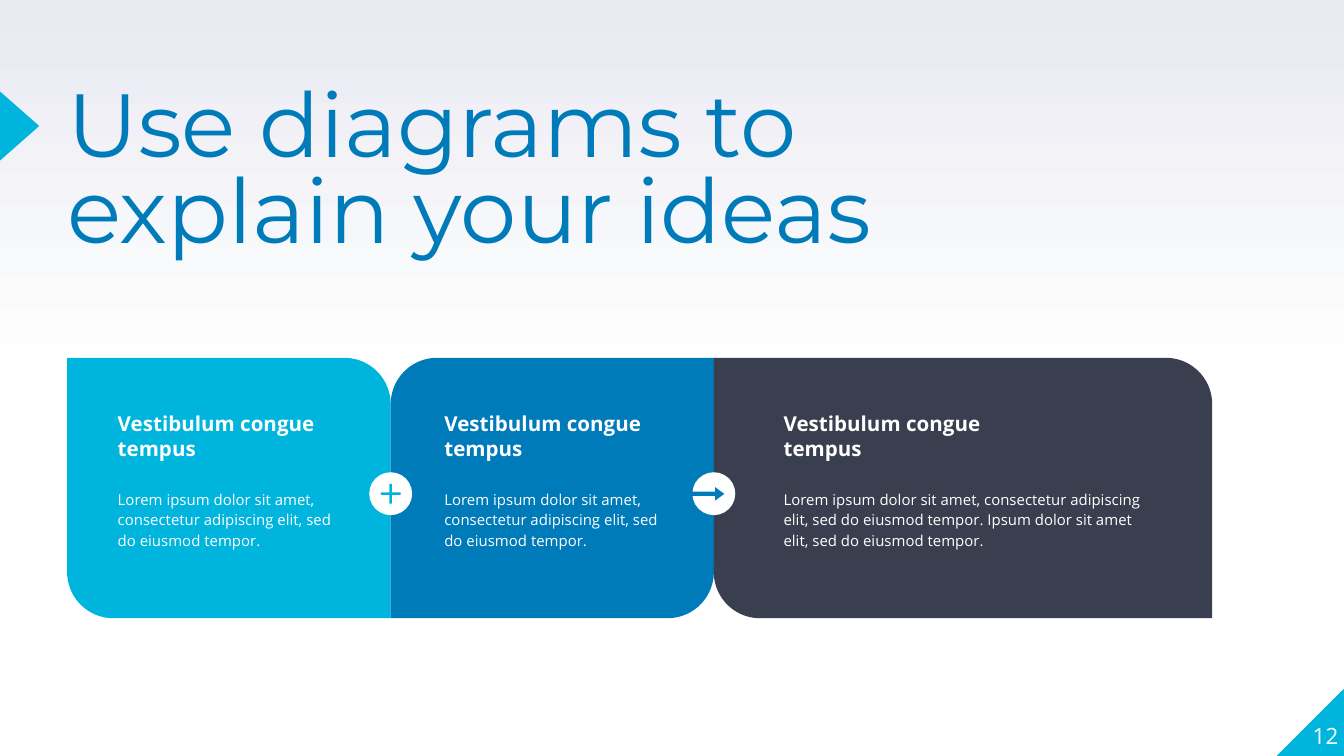
"""Build a slide with three linked panels."""
from pptx import Presentation
from pptx import util as u
from pptx.dml.color import RGBColor
from pptx.enum import shapes, text

Pt = u.Pt
Kind = shapes.MSO_SHAPE
CYAN, BLUE, SLATE, WHITE, MIST = "00B5DD", "007BB9", "3A3F50", "FFFFFF", "E9EAF2"
PANEL_TOP, PANEL_HEIGHT, CORNER = 191.7, 139.5, 0.178
BADGE = 23
LOREM = "Lorem ipsum dolor sit amet, consectetur adipiscing elit, sed do eiusmod tempor."
PANELS = [
    (36, 173.3, CYAN, (0, CORNER), 56, 130, "Vestibulum congue tempus", LOREM),
    (209.3, 173.1, BLUE, (CORNER, 0), 231, 130, "Vestibulum congue tempus", LOREM),
    (382.4, 267, SLATE, (0, CORNER), 412.7, 215, "Vestibulum congue\vtempus",
     LOREM + " Ipsum dolor sit amet elit, sed do eiusmod tempor."),
]


def paint(color_format, color):
    color_format.rgb = RGBColor.from_string(color)


def add_figure(slide, kind, left, top, width, height, color, adjustments=(), rotation=0):
    figure = slide.shapes.add_shape(kind, Pt(left), Pt(top), Pt(width), Pt(height))
    figure.shadow.inherit = False
    figure.fill.solid()
    paint(figure.fill.fore_color, color)
    figure.line.fill.background()
    figure.rotation = rotation
    for index, value in enumerate(adjustments):
        figure.adjustments[index] = value


def write(frame, words, size, font, color, bold=False, inset=0, align=text.PP_ALIGN.LEFT,
          anchor=text.MSO_ANCHOR.TOP):
    frame.text = words
    frame.word_wrap = True
    frame.auto_size = text.MSO_AUTO_SIZE.NONE
    frame.vertical_anchor = anchor
    frame.margin_left = frame.margin_right = Pt(inset)
    frame.margin_top = frame.margin_bottom = Pt(inset)
    paragraph = frame.paragraphs[0]
    paragraph.alignment = align
    for run in paragraph.runs:
        run.font.size, run.font.name, run.font.bold = Pt(size), font, bold
        paint(run.font.color, color)
    return paragraph


def add_label(slide, left, top, width, height, words, size, **style):
    label = slide.shapes.add_textbox(Pt(left), Pt(top), Pt(width), Pt(height))
    return write(label.text_frame, words, size, "Open Sans", WHITE, **style)


def add_panel(slide, left, width, color, corners, text_left, text_width, heading, detail):
    add_figure(slide, Kind.ROUND_2_DIAG_RECTANGLE, left, PANEL_TOP, width, PANEL_HEIGHT,
               color, corners)
    add_label(slide, text_left, 213, text_width, 41, heading, 11, bold=True, inset=7.2)
    body = add_label(slide, text_left, 254, text_width, 45.5, detail, 8, inset=7.2)
    body.line_spacing, body.space_after = 1.15, Pt(16)


def add_badge(slide, center, kind, left, top, width, height, color, adjustments):
    add_figure(slide, Kind.OVAL, center - BADGE / 2, 253, BADGE, BADGE, WHITE)
    add_figure(slide, kind, left, top, width, height, color, adjustments)


def set_background(slide):
    fill = slide.background.fill
    fill.gradient()
    fill.gradient_angle = 90
    for stop, position, color in zip(fill.gradient_stops, (0.5, 1), (WHITE, MIST)):
        stop.position = position
        paint(stop.color, color)


def set_title(slide, words):
    title = slide.shapes.title
    title.left, title.top, title.width, title.height = Pt(36), Pt(47.5), Pt(444), Pt(85)
    write(title.text_frame, words, 48, "Montserrat", BLUE).line_spacing = 0.8


def main():
    deck = Presentation()
    deck.slide_width, deck.slide_height = Pt(720), Pt(405)
    slide = deck.slides.add_slide(deck.slide_layouts[5])
    set_background(slide)
    add_figure(slide, Kind.RIGHT_TRIANGLE, 684, 368.5, 36.5, 36.5, CYAN, rotation=270)
    add_figure(slide, Kind.ISOSCELES_TRIANGLE, -8, 57, 37, 21, CYAN, rotation=90)
    set_title(slide, "Use diagrams to explain your ideas")
    add_label(slide, 681, 365, 36, 36.5, "12", 12, align=text.PP_ALIGN.RIGHT,
              anchor=text.MSO_ANCHOR.BOTTOM)
    for panel in PANELS:
        add_panel(slide, *panel)
    add_badge(slide, 209.3, Kind.MATH_PLUS, 202.1, 257.3, 14.4, 14.4, CYAN, (0.099,))
    add_badge(slide, 382.4, Kind.RIGHT_ARROW, 370.8, 261, 17.2, 7.2, BLUE, (0.32, 0.67))
    deck.save("out.pptx")


main()
